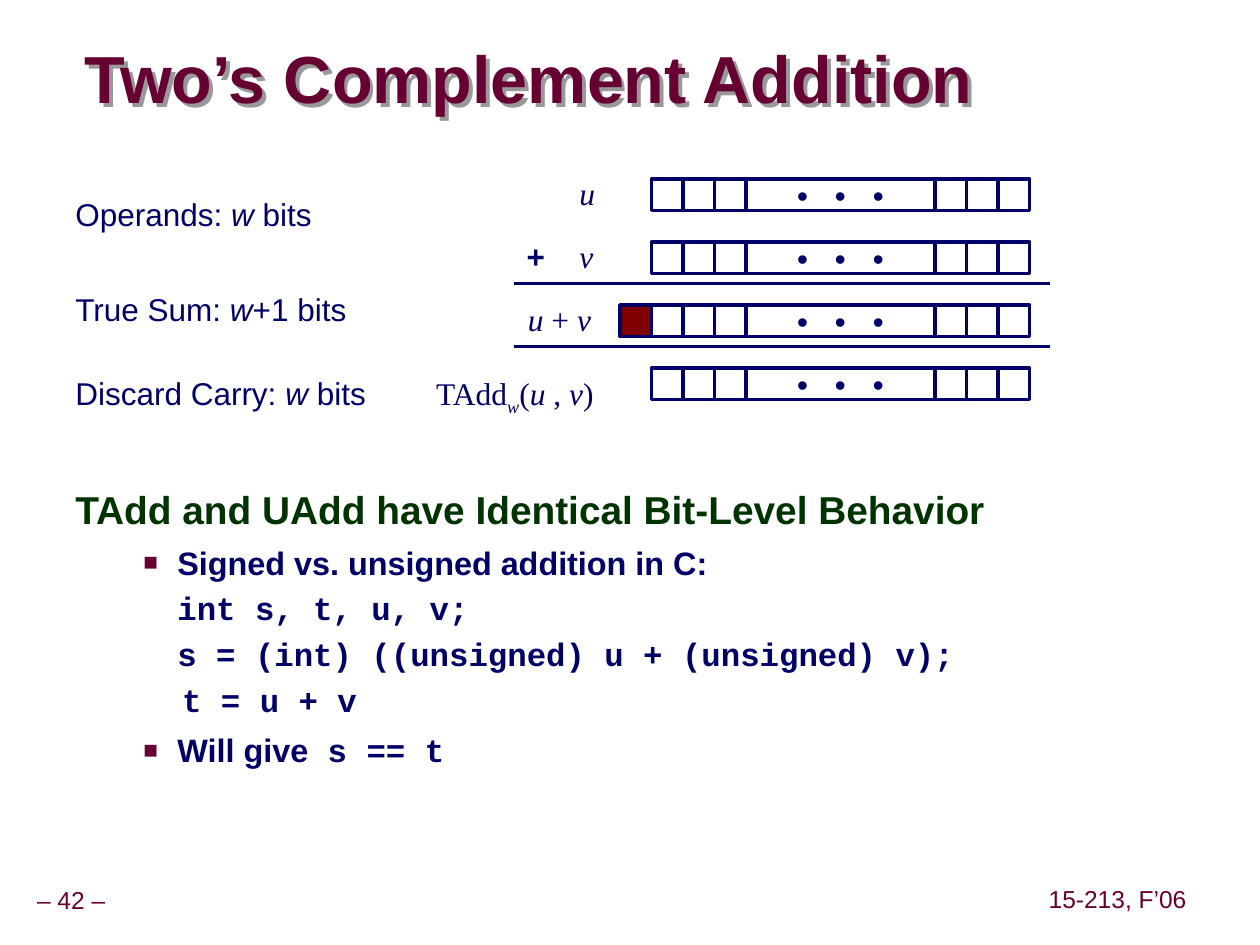
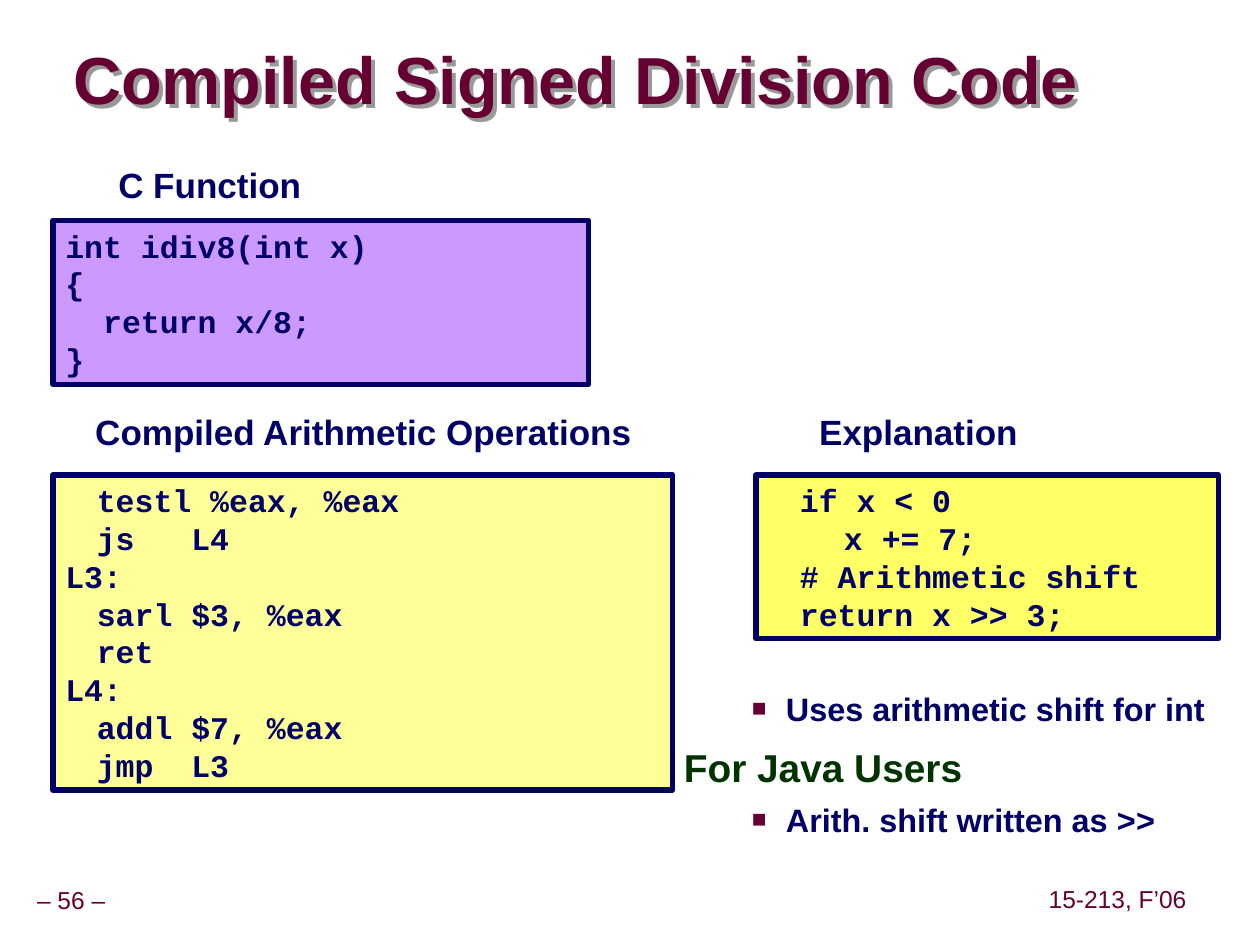
"""Build two lecture slides on two's complement addition and signed division."""
from lxml.etree import SubElement
from pptx import Presentation
from pptx.dml.color import RGBColor
from pptx.enum.shapes import MSO_CONNECTOR, MSO_SHAPE
from pptx.enum.text import MSO_ANCHOR as Anchor, MSO_AUTO_SIZE as AutoSize, PP_ALIGN as Align
from pptx.oxml.ns import qn
from pptx.util import Cm, Pt

MAROON = RGBColor(0x66, 0x00, 0x33)
NAVY = RGBColor(0x00, 0x00, 0x66)
GREEN = RGBColor(0x00, 0x33, 0x00)
WHITE = RGBColor(0xFF, 0xFF, 0xFF)
CARRY_RED = RGBColor(0x80, 0x00, 0x00)
LILAC = RGBColor(0xCC, 0x99, 0xFF)
PALE_YELLOW = RGBColor(0xFF, 0xFF, 0x99)
YELLOW = RGBColor(0xFF, 0xFF, 0x66)
SANS, MONO, SERIF = "Arial", "Courier New", "Times New Roman"
CELL = 0.25
ROW_PITCH = 0.5


def inch(value):
    return Cm(2.54 * value)


def place(left, top, width, height):
    return [inch(value) for value in (left, top, width, height)]


def add_xml(parent, tag, **attributes):
    return SubElement(parent, qn(tag), attributes)


class Deck:
    def __init__(self):
        self.presentation = Presentation()
        self.presentation.slide_width = inch(10)
        self.presentation.slide_height = inch(7.5)
        self.slide = None

    def start(self, title, page, box):
        self.slide = self.presentation.slides.add_slide(self.presentation.slide_layouts[5])
        shape = self.slide.shapes.title
        shape.left, shape.top, shape.width, shape.height = place(*box)
        frame = self.prepare(shape.text_frame, 0, 0, wrap=True, anchor=Anchor.MIDDLE)
        frame.text = title
        paragraph = frame.paragraphs[0]
        paragraph.alignment, paragraph.line_spacing = Align.LEFT, 0.87
        self.style(paragraph.runs[0], SANS, 38, MAROON, bold=True)
        effects = add_xml(shape._element.spPr, "a:effectLst")
        shadow = add_xml(effects, "a:outerShdw", dist="41000", dir="2700000", algn="ctr")
        add_xml(shadow, "a:srgbClr", val="999999")
        for text, footer in ((f"– {page} –", (0.02, 7, 1.09, 0.31)),
                             ("15-213, F’06", (8.27, 6.99, 1.2, 0.31))):
            self.label((text,), footer, SANS, 14, MAROON, align=Align.CENTER,
                       inset=0.05, spacing=0.9, anchor=Anchor.MIDDLE)

    def prepare(self, frame, side, edge, wrap=False, anchor=Anchor.TOP):
        frame.margin_left = frame.margin_right = inch(side)
        frame.margin_top = frame.margin_bottom = inch(edge)
        frame.auto_size = AutoSize.NONE
        frame.word_wrap = wrap
        frame.vertical_anchor = anchor
        return frame

    def style(self, run, name, size, color, bold=False, italic=False):
        font = run.font
        font.name, font.size, font.bold, font.italic = name, Pt(size), bold, italic
        font.color.rgb = color

    def label(self, parts, box, name=SANS, size=18, color=NAVY, bold=False,
              align=Align.LEFT, inset=0.1, spacing=1.0, anchor=Anchor.TOP):
        shape = self.slide.shapes.add_textbox(*place(*box))
        frame = self.prepare(shape.text_frame, inset, 0.05, anchor=anchor)
        paragraph = frame.paragraphs[0]
        paragraph.alignment, paragraph.line_spacing = align, spacing
        for index, part in enumerate(parts):
            if part:
                run = paragraph.add_run()
                run.text = part
                self.style(run, name, size, color, bold, italic=index % 2 == 1)
        return paragraph

    def caption(self, text, box):
        self.label((text,), box, size=20, bold=True, align=Align.CENTER, inset=0.05, spacing=0.9)

    def rectangle(self, shapes, box, fill, width=2):
        shape = shapes.add_shape(MSO_SHAPE.RECTANGLE, *place(*box))
        shape.shadow.inherit = False
        shape.fill.solid()
        shape.fill.fore_color.rgb = fill
        shape.line.color.rgb, shape.line.width = NAVY, Pt(width)
        return shape

    def code(self, text, box, fill):
        shape = self.rectangle(self.slide.shapes, box, fill, 3)
        frame = self.prepare(shape.text_frame, 0.1, 0.05, wrap=True)
        frame.text = text
        for paragraph in frame.paragraphs:
            paragraph.alignment = Align.LEFT
            tabs = add_xml(paragraph._p.get_or_add_pPr(), "a:tabLst")
            for stop in (0.25, 1):
                add_xml(tabs, "a:tab", pos=str(inch(stop)), algn="l")
            self.style(paragraph.runs[0], MONO, 18, NAVY, bold=True)

    def bits(self, top, carry=False):
        shapes = self.slide.shapes.add_group_shape().shapes
        for first in (5.17, 7.42):
            for index in range(3):
                self.rectangle(shapes, (first + index * CELL, top, CELL, CELL), WHITE)
        middle = self.rectangle(shapes, (5.92, top, 6 * CELL, CELL), WHITE)
        frame = self.prepare(middle.text_frame, 0.1, 0.05, anchor=Anchor.MIDDLE)
        frame.text = "• • •"
        frame.paragraphs[0].alignment = Align.CENTER
        self.style(frame.paragraphs[0].runs[0], MONO, 18, NAVY)
        if carry:
            self.rectangle(shapes, (5.17 - CELL, top, CELL, CELL), CARRY_RED)

    def rule(self, left, right, top):
        line = self.slide.shapes.add_connector(
            MSO_CONNECTOR.STRAIGHT, inch(left), inch(top), inch(right), inch(top))
        line.line.color.rgb, line.line.width = NAVY, Pt(2)
        add_xml(line._element.spPr, "a:effectLst")

    def body(self, box, items, heading_spacing):
        shape = self.slide.shapes.add_textbox(*place(*box))
        frame = self.prepare(shape.text_frame, 0.1, 0.05, wrap=True)
        for index, (kind, *parts) in enumerate(items):
            paragraph = frame.add_paragraph() if index else frame.paragraphs[0]
            heading = kind == "heading"
            properties = paragraph._p.get_or_add_pPr()
            if not heading:
                hanging = 0 if kind == "code" else -0.27
                properties.set("marL", str(inch(0.81)))
                properties.set("indent", str(inch(hanging)))
            if kind == "bullet":
                add_xml(add_xml(properties, "a:buClr"), "a:srgbClr", val=str(MAROON))
                add_xml(properties, "a:buSzPct", val="75000")
                add_xml(properties, "a:buFont", typeface=SANS)
                add_xml(properties, "a:buChar", char="■")
            paragraph.line_spacing = {"heading": heading_spacing, "bullet": 1.0}.get(kind, 0.9)
            if index:
                paragraph.space_before = Pt(15 if heading else 6.2)
            fonts = (SANS, MONO) if kind in ("heading", "bullet") else (MONO,)
            for part, name in zip(parts, fonts):
                run = paragraph.add_run()
                run.text = part
                self.style(run, name, 22.2 if heading else 18.5,
                           GREEN if heading else NAVY, bold=True)


def addition_slide(deck):
    deck.start("Two’s Complement Addition", 42, (0.67, 0.35, 8.17, 0.61))
    deck.body((0.5, 3.86, 8.66, 2.45), (
        ("heading", "TAdd and UAdd have Identical Bit-Level Behavior"),
        ("bullet", "Signed vs. unsigned addition in C:"),
        ("code", "int s, t, u, v;"),
        ("code", "s = (int) ((unsigned) u + (unsigned) v);"),
        ("outdented code", "  t = u + v"),
        ("bullet", "Will give", " s == t"),
    ), 0.85)
    for row in range(4):
        deck.bits(1.42 + row * ROW_PITCH, carry=row == 2)
    for top in (2.25, 2.75):
        deck.rule(4.08, 8.33, top)
    deck.label(("", "u"), (4.5, 1.33, 0.32, 0.4), SERIF)
    deck.label(("", "v"), (4.5, 1.83, 0.31, 0.4), SERIF)
    deck.label(("+",), (4.08, 1.83, 0.35, 0.4), MONO, bold=True)
    deck.label(("", "u ", "+ ", "v"), (4.09, 2.33, 0.7, 0.4), SERIF, align=Align.RIGHT)
    result = deck.label(("TAdd", "w", "(", "u", " , ", "v", ")"),
                        (3.34, 2.92, 1.47, 0.44), SERIF, align=Align.RIGHT)
    result.runs[1]._r.get_or_add_rPr().set("baseline", "-25000")
    deck.label(("Operands: ", "w", " bits"), (0.5, 1.5, 2.07, 0.4))
    deck.label(("True Sum: ", "w", "+1 bits"), (0.5, 2.25, 2.36, 0.4))
    deck.label(("Discard Carry: ", "w", " bits"), (0.5, 2.92, 2.67, 0.4))


def division_slide(deck):
    deck.start("Compiled Signed Division Code", 56, (0.58, 0.35, 8.67, 0.63))
    deck.code("\ttestl %eax, %eax\n\tjs\tL4\nL3:\n\tsarl\t$3, %eax\n\tret\n"
              "L4:\n\taddl\t$7, %eax\n\tjmp\tL3", (0.42, 3.77, 4.92, 2.5), PALE_YELLOW)
    deck.body((5.33, 5.42, 4.67, 1.3), (
        ("bullet", "Uses arithmetic shift for int"),
        ("heading", "For Java Users"),
        ("bullet", "Arith. shift written as ", ">>"),
    ), 0.75)
    deck.code("int idiv8(int x)\n{\n  return x/8;\n}", (0.42, 1.75, 4.25, 1.3), LILAC)
    deck.code("\tif x < 0\n    x += 7;\n\t# Arithmetic shift\n\treturn x >> 3;",
              (6, 3.77, 3.67, 1.3), YELLOW)
    deck.caption("C Function", (0.89, 1.29, 1.55, 0.4))
    deck.caption("Compiled Arithmetic Operations", (0.7, 3.25, 4.37, 0.4))
    deck.caption("Explanation", (6.45, 3.25, 1.68, 0.4))


def main():
    deck = Deck()
    addition_slide(deck)
    division_slide(deck)
    deck.presentation.save("out.pptx")


if __name__ == "__main__":
    main()
